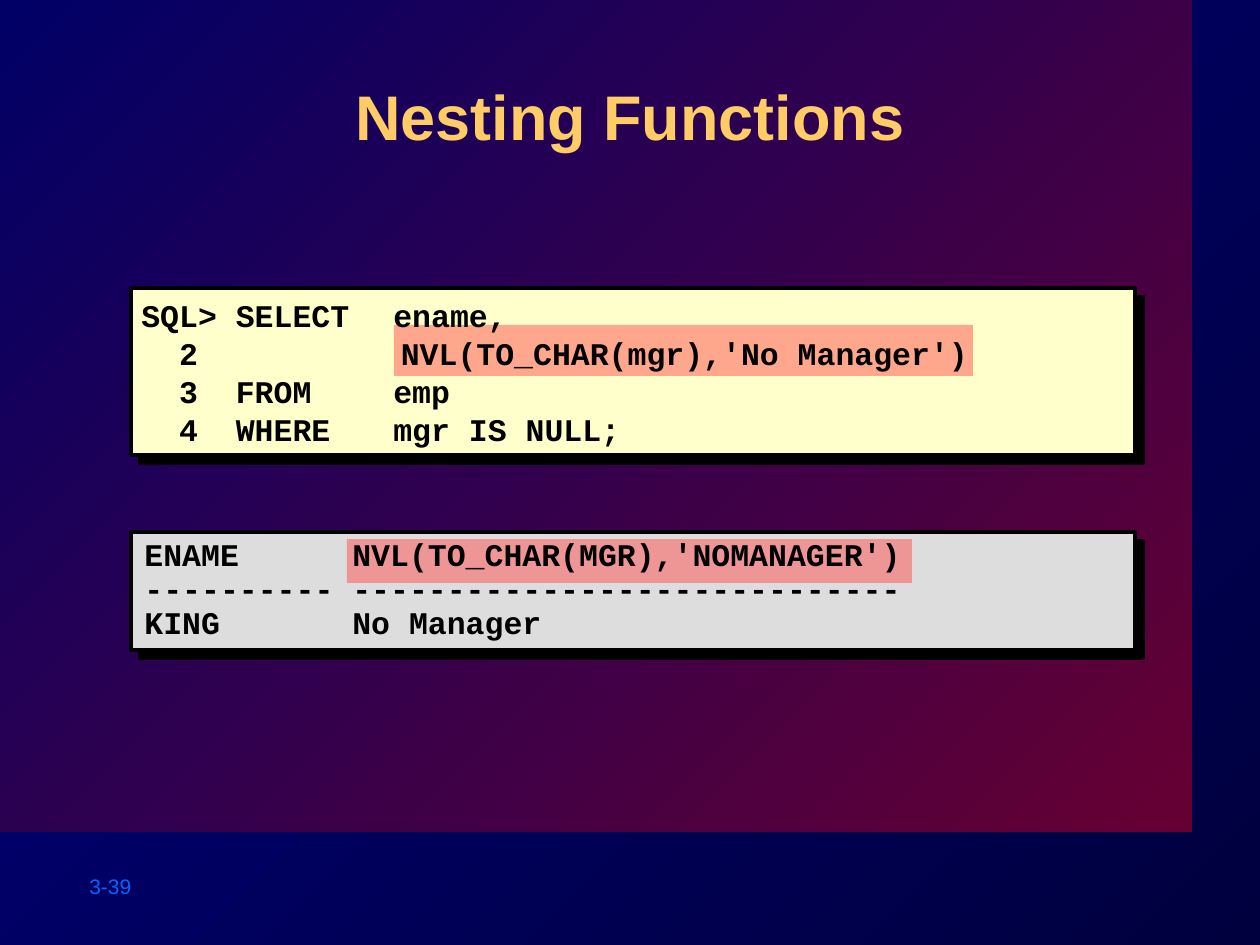
from lxml.etree import SubElement as Sub
from pptx import Presentation
from pptx.dml.color import RGBColor as RGB
from pptx.enum.shapes import MSO_SHAPE as SHAPE
from pptx.enum.text import MSO_ANCHOR as ANCHOR, PP_ALIGN as ALIGN
from pptx.oxml.ns import qn
from pptx.util import Emu, Pt

NAVY, BLUE = RGB(0x00, 0x00, 0x3F), RGB(0x00, 0x00, 0x80)
WINE, INDIGO = RGB(0x66, 0x00, 0x33), RGB(0x00, 0x00, 0x66)
CREAM, GREY = RGB(0xFF, 0xFF, 0xCC), RGB(0xDD, 0xDD, 0xDD)
CORAL, GOLD = RGB(0xFF, 0x50, 0x50), RGB(0xFF, 0xCC, 0x66)
BLACK, AZURE = RGB(0x00, 0x00, 0x00), RGB(0x00, 0x66, 0xFF)

QUERY = [
    "SQL> SELECT\tename,",
    "  2\t     NVL(TO_CHAR(mgr),'No Manager')",
    "  3  FROM\temp",
    "  4  WHERE\tmgr IS NULL;",
]
RESULT = [
    "ENAME      NVL(TO_CHAR(MGR),'NOMANAGER')",
    "---------- -----------------------------",
    "KING       No Manager",
]


def px(n):
    return Emu(round(n * 914400 / 126))


class Deck:
    """Holds the presentation style and the current slide."""

    sans, mono = "Arial", "Courier New"
    code_size = 18
    code_tabs = (165, 252)

    def __init__(self, width, height):
        self.prs = Presentation()
        self.prs.slide_width, self.prs.slide_height = px(width), px(height)
        self.s = self.prs.slides.add_slide(self.prs.slide_layouts[6])

    def gradient(self, fill, start, end):
        fill.gradient()
        fill.gradient_angle = 135
        for stop, color in zip(fill.gradient_stops, (start, end)):
            stop.color.rgb = color

    def drop_shadow(self, parent, dist):
        effects = parent.find(qn("a:effectLst"))
        if effects is None:
            effects = Sub(parent, qn("a:effectLst"))
        shadow = Sub(effects, qn("a:outerShdw"), dist=str(dist), dir="2700000", algn="ctr", rotWithShape="0")
        Sub(shadow, qn("a:srgbClr"), val=str(BLACK))

    def rect(self, x, y, w, h):
        sp = self.s.shapes.add_shape(SHAPE.RECTANGLE, px(x), px(y), px(w), px(h))
        sp.shadow.inherit = False
        sp.line.fill.background()
        return sp

    def backdrop(self, x, y, w, h):
        self.gradient(self.s.background.fill, NAVY, BLUE)
        self.gradient(self.rect(x, y, w, h).fill, WINE, INDIGO)

    def panel(self, x, y, w, h, color):
        sp = self.rect(x, y, w, h)
        sp.fill.solid()
        sp.fill.fore_color.rgb = color
        sp.line.color.rgb = BLACK
        sp.line.width = Pt(2)
        self.drop_shadow(sp._element.spPr, Pt(7.1))

    def highlight(self, x, y, w, h):
        sp = self.rect(x, y, w, h)
        sp.fill.solid()
        sp.fill.fore_color.rgb = CORAL
        color = sp._element.spPr.find(qn("a:solidFill"))[0]
        Sub(color, qn("a:alpha"), val="50000")

    def text(self, x, y, w, h, lines, font, size, color, bold=False, tabs=(),
             align=ALIGN.LEFT, anchor=ANCHOR.TOP, spacing=None):
        tf = self.s.shapes.add_textbox(px(x), px(y), px(w), px(h)).text_frame
        tf.word_wrap = True
        tf.vertical_anchor = anchor
        for i, line in enumerate(lines):
            p = tf.paragraphs[0] if i == 0 else tf.add_paragraph()
            p.add_run().text = line
            if tabs:
                tab_list = Sub(p._p.get_or_add_pPr(), qn("a:tabLst"))
                for tab in tabs:
                    Sub(tab_list, qn("a:tab"), pos=str(px(tab)), algn="l")
            p.alignment = align
            if spacing:
                p.line_spacing = spacing
            p.font.name, p.font.size, p.font.bold = font, Pt(size), bold
            p.font.color.rgb = color
        return tf

    def title(self, x, y, w, h, line):
        tf = self.text(x, y, w, h, [line], self.sans, 36, GOLD, True, align=ALIGN.CENTER)
        r = tf.paragraphs[0].runs[0]
        self.drop_shadow(r._r.get_or_add_rPr(), Pt(3))

    def code(self, x, y, w, h, lines, **layout):
        self.text(x, y, w, h, lines, self.mono, self.code_size, BLACK, True,
                  self.code_tabs, **layout)

    def page_number(self, x, y, w, h, label):
        self.text(x, y, w, h, [label], self.sans, 12, AZURE)


def main():
    deck = Deck(1260, 945)
    deck.backdrop(0, 0, 1192, 832)
    deck.page_number(77, 867, 140, 38, "3-39")
    deck.panel(131, 288, 1004, 167, CREAM)
    deck.panel(131, 532, 1004, 118, GREY)
    deck.title(127, 71, 1006, 121, "Nesting Functions")
    deck.highlight(394, 325, 579, 51)
    deck.highlight(347, 539, 565, 44)
    deck.code(129, 271, 1008, 202, QUERY, anchor=ANCHOR.MIDDLE)
    deck.code(132, 533, 1000, 115, RESULT, spacing=0.9)
    deck.prs.save("out.pptx")


if __name__ == "__main__":
    main()
